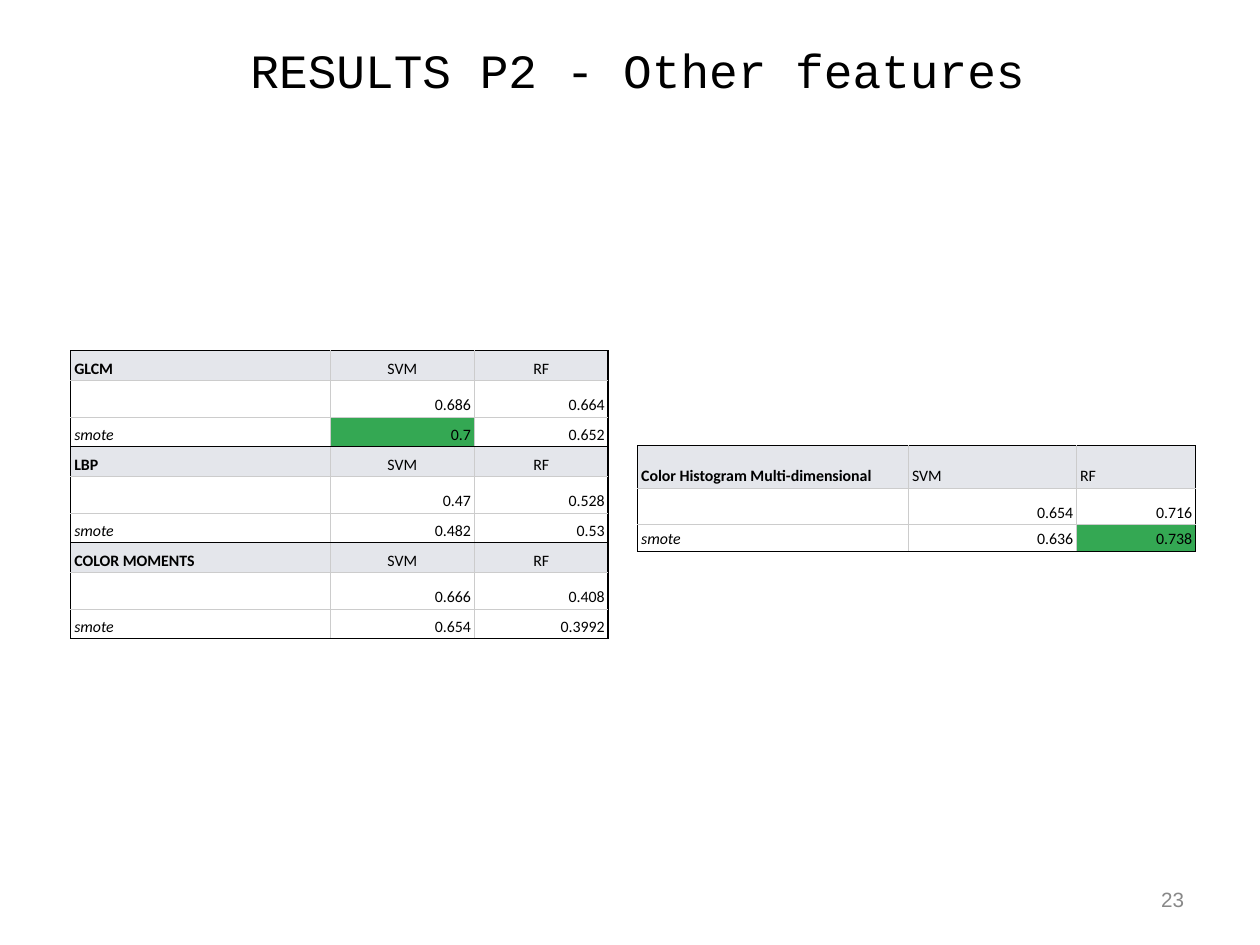
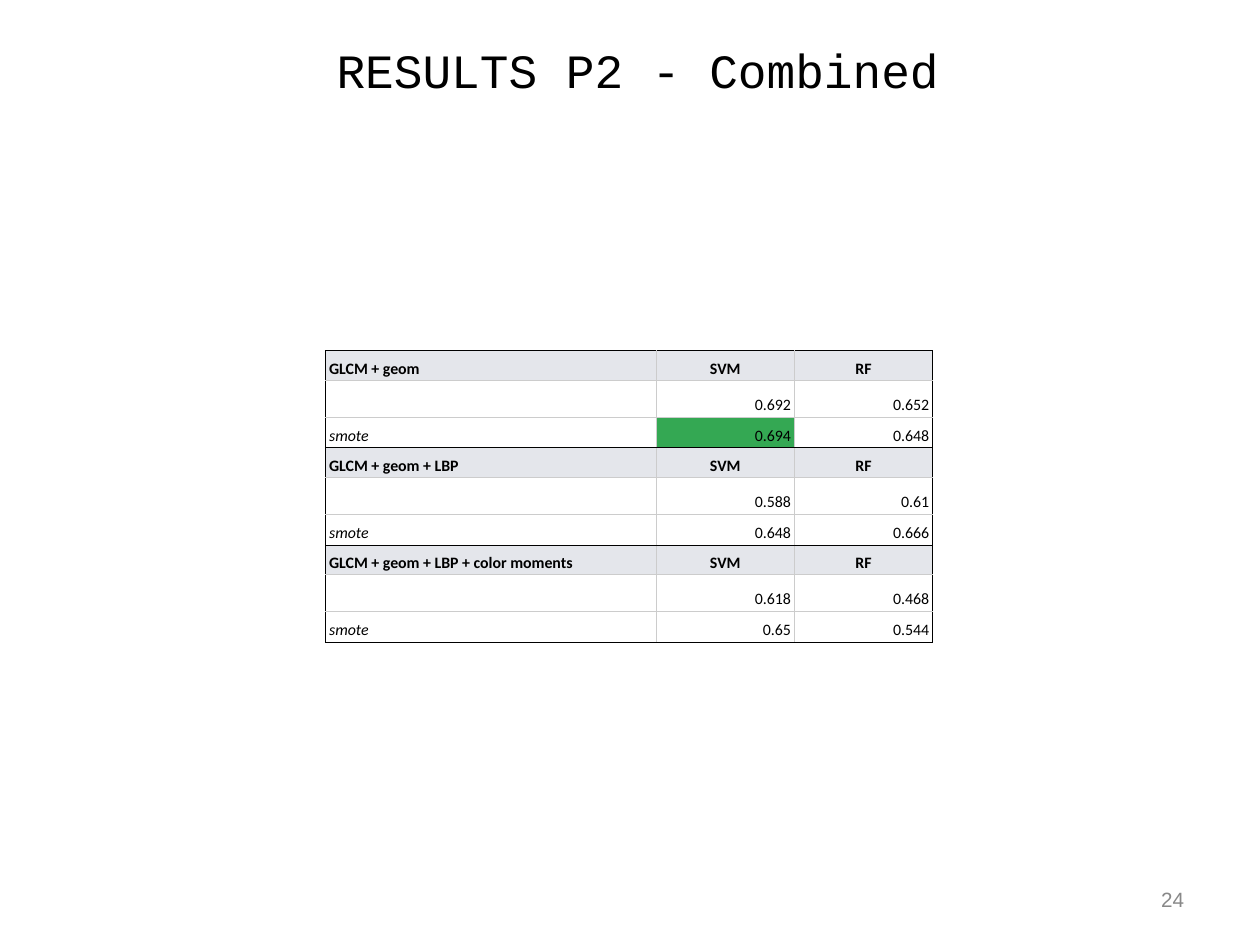
from dataclasses import dataclass

from lxml.etree import SubElement
from pptx import Presentation
from pptx.dml.color import RGBColor
from pptx.enum.text import MSO_ANCHOR, MSO_AUTO_SIZE, PP_ALIGN
from pptx.oxml import parse_xml
from pptx.oxml.ns import nsdecls, qn
from pptx.util import Cm, Inches, Pt


@dataclass(frozen=True)
class Theme:
    ink: str = "000000"
    grid: str = "CCCCCC"
    header: str = "E4E6EB"
    paper: str = "FFFFFF"
    best: str = "34A853"
    number: str = "888888"
    title_font: str = "Courier New"
    table_font: str = "Calibri"
    number_font: str = "Arial"
    title_size: float = 30.1
    table_size: float = 10
    number_size: float = 13
    rule_width: float = 0.75


THEME = Theme()
FRAME = {
    "margin_left": Inches(0.11),
    "margin_right": Inches(0.11),
    "margin_top": Inches(0.06),
    "margin_bottom": Inches(0.06),
    "vertical_anchor": MSO_ANCHOR.MIDDLE,
    "word_wrap": True,
    "auto_size": MSO_AUTO_SIZE.NONE,
}
CELL = {
    "margin_left": Inches(0.03),
    "margin_right": Inches(0.03),
    "margin_top": Inches(0.02),
    "margin_bottom": Inches(0.02),
    "vertical_anchor": MSO_ANCHOR.BOTTOM,
}


def apply(target, values):
    for attribute, value in values.items():
        setattr(target, attribute, value)


def write(paragraph, text, align, font, size, color, spacing=1.0, bold=False, italic=False):
    apply(paragraph, {"alignment": align, "line_spacing": spacing})
    run = paragraph.add_run()
    run.text = text
    apply(run.font, {"name": font, "size": Pt(size), "bold": bold, "italic": italic})
    run.font.color.rgb = RGBColor.from_string(color)


def add_slide(prs, title, number):
    slide = prs.slides.add_slide(prs.slide_layouts[5])
    heading = slide.shapes.title
    apply(heading, {"left": Inches(0.62), "top": Inches(0.2),
                    "width": Inches(9.92), "height": Inches(0.82)})
    apply(heading.text_frame, FRAME)
    write(heading.text_frame.paragraphs[0], title, PP_ALIGN.CENTER,
          THEME.title_font, THEME.title_size, THEME.ink)
    footer = slide.shapes.add_textbox(Inches(7.9), Inches(7.66), Inches(2.57), Inches(0.44))
    apply(footer.text_frame, FRAME)
    write(footer.text_frame.paragraphs[0], str(number), PP_ALIGN.RIGHT,
          THEME.number_font, THEME.number_size, THEME.number, spacing=0.93)
    return slide


def set_borders(cell, colors):
    properties = cell._tc.get_or_add_tcPr()
    for position, (side, color) in enumerate(colors.items()):
        properties.insert(position, parse_xml(
            f'<a:ln{side} {nsdecls("a")} w="{Pt(THEME.rule_width)}"><a:solidFill>'
            f'<a:srgbClr val="{color}"/></a:solidFill></a:ln{side}>'))


def format_cell(cell, text, fill, align, bold, italic):
    apply(cell, CELL)
    cell.fill.solid()
    cell.fill.fore_color.rgb = RGBColor.from_string(fill)
    paragraph = cell.text_frame.paragraphs[0]
    if text:
        write(paragraph, text, align, THEME.table_font, THEME.table_size, THEME.ink,
              spacing=1.15, bold=bold, italic=italic)
    else:
        SubElement(paragraph._p, qn("a:endParaRPr")).set("sz", str(int(THEME.table_size * 100)))


def add_scores(slide, left, top, columns, group_heights, groups, best,
               header_align=PP_ALIGN.CENTER, header_bold=False):
    rows = [row for name, plain, smote in groups
            for row in ((name, "SVM", "RF"), ("", *plain), ("smote", *smote))]
    heights = group_heights * len(groups)
    scores = slide.shapes.add_table(
        len(rows), len(columns), Inches(left), Inches(top),
        Inches(sum(columns)), Inches(sum(heights))).table
    apply(scores, {"first_row": False, "horz_banding": False})
    for column, width in zip(scores.columns, columns):
        column.width = Inches(width)
    for r, values in enumerate(rows):
        scores.rows[r].height = Inches(heights[r])
        is_header, is_last = r % 3 == 0, r % 3 == 2
        for c, value in enumerate(values):
            is_label = c == 0
            score_align = header_align if is_header else PP_ALIGN.RIGHT
            plain_fill = THEME.header if is_header else THEME.paper
            cell = scores.cell(r, c)
            format_cell(cell, str(value),
                        fill=THEME.best if (r, c) == best else plain_fill,
                        align=PP_ALIGN.LEFT if is_label else score_align,
                        bold=is_header and (is_label or header_bold),
                        italic=is_label and not is_header)
            outer = {"L": is_label, "R": c == len(columns) - 1, "T": is_header, "B": is_last}
            set_borders(cell, {side: THEME.ink if edge else THEME.grid
                               for side, edge in outer.items()})


def main():
    prs = Presentation()
    prs.slide_width = Cm(28)
    prs.slide_height = Cm(21)

    other = add_slide(prs, "RESULTS P2 - Other features", 23)
    add_scores(other, 0.62, 3.07, [2.27, 1.26, 1.17], [0.26, 0.32, 0.26], [
        ("GLCM", (0.686, 0.664), (0.7, 0.652)),
        ("LBP", (0.47, 0.528), (0.482, 0.53)),
        ("COLOR MOMENTS", (0.666, 0.408), (0.654, 0.3992)),
    ], best=(2, 1))
    add_scores(other, 5.58, 3.9, [2.37, 1.47, 1.04], [0.37, 0.32, 0.23], [
        ("Color Histogram Multi-dimensional", (0.654, 0.716), (0.636, 0.738)),
    ], best=(2, 2), header_align=PP_ALIGN.LEFT)

    combined = add_slide(prs, "RESULTS P2 - Combined", 24)
    add_scores(combined, 2.85, 3.07, [2.89, 1.21, 1.21], [0.26, 0.32, 0.27], [
        ("GLCM + geom", (0.692, 0.652), (0.694, 0.648)),
        ("GLCM + geom + LBP", (0.588, 0.61), (0.648, 0.666)),
        ("GLCM + geom + LBP + color moments", (0.618, 0.468), (0.65, 0.544)),
    ], best=(2, 1), header_bold=True)

    prs.save("out.pptx")


if __name__ == "__main__":
    main()
